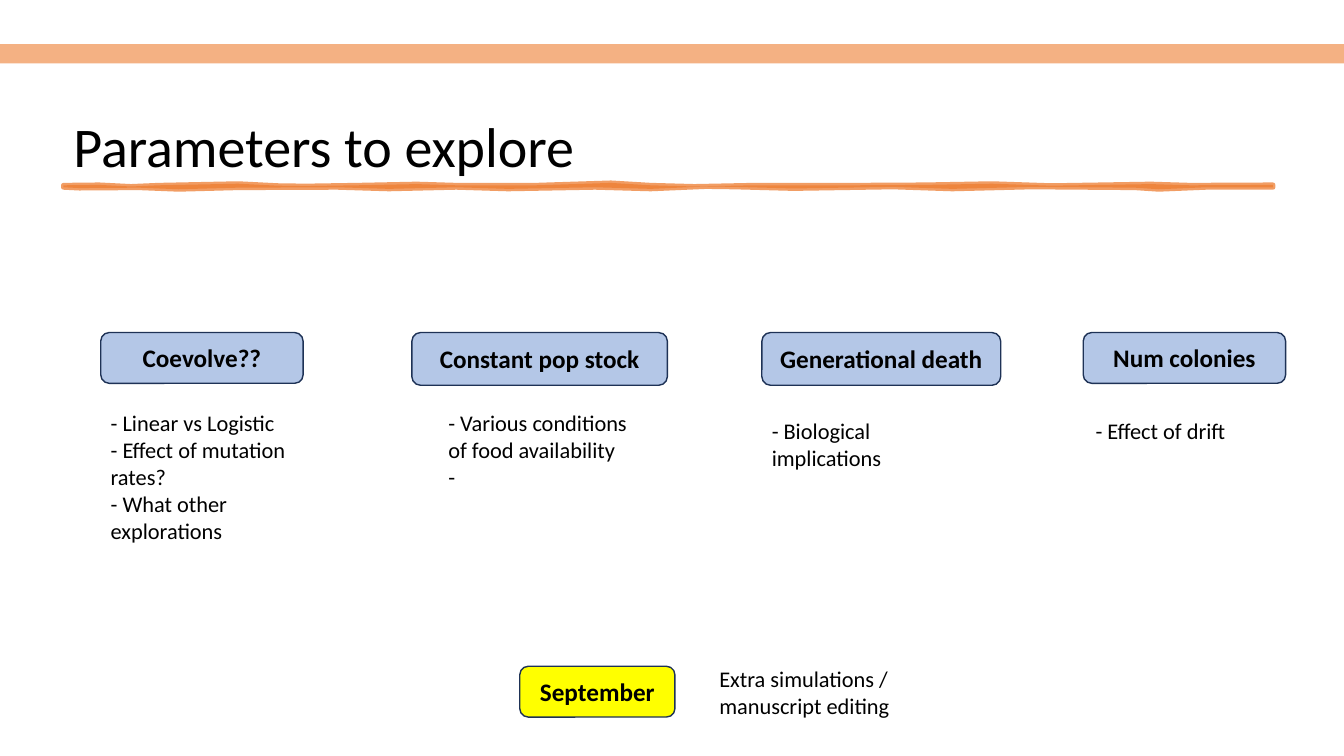
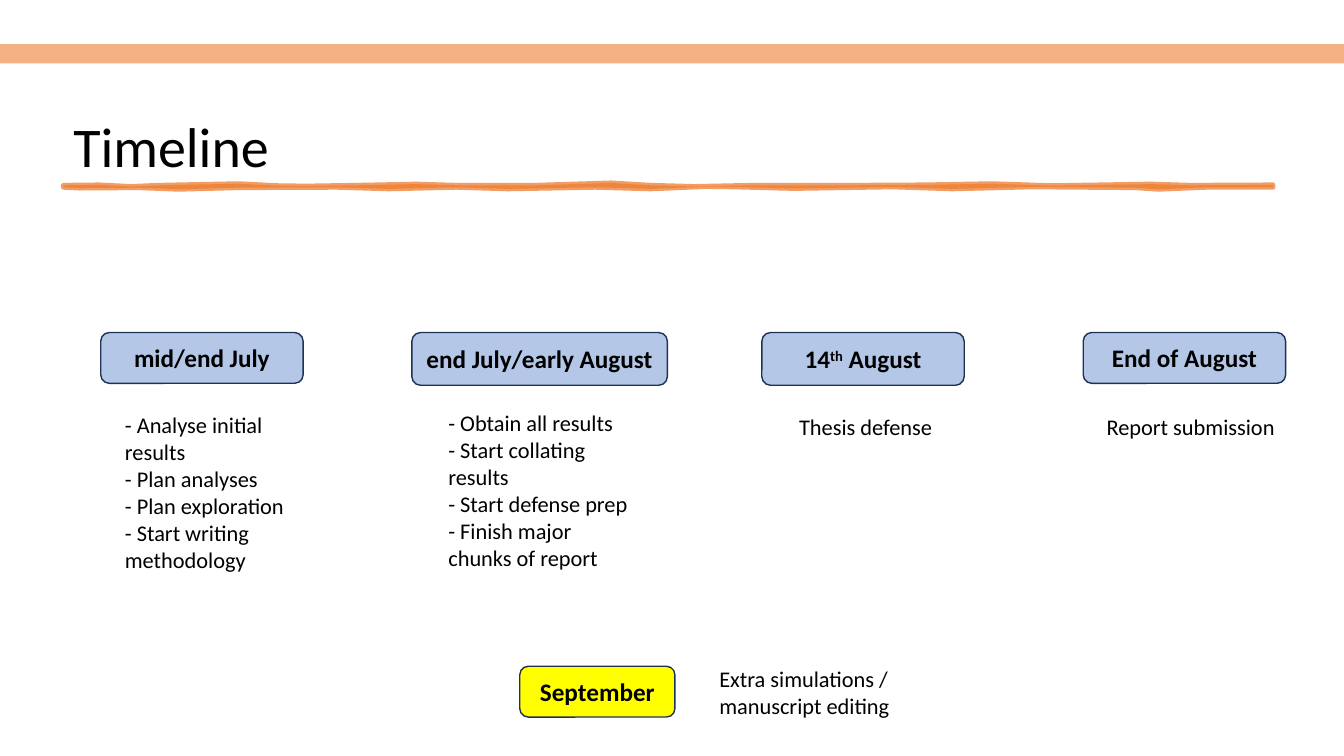
from lxml import etree
from pptx import Presentation
from pptx.dml.color import RGBColor
from pptx.enum.shapes import MSO_SHAPE
from pptx.enum.text import MSO_ANCHOR, MSO_AUTO_SIZE, PP_ALIGN
from pptx.oxml.ns import qn
from pptx.util import Cm, Pt

RECT, ROUND = MSO_SHAPE.RECTANGLE, MSO_SHAPE.ROUNDED_RECTANGLE
LOW, MID = MSO_ANCHOR.BOTTOM, MSO_ANCHOR.MIDDLE
CENTER = PP_ALIGN.CENTER
GROW = MSO_AUTO_SIZE.SHAPE_TO_FIT_TEXT

FONT = "Calibri"
BLACK, BLUE, NAVY = "000000", "B4C7E7", "1E3256"
YELLOW, ORANGE, PEACH = "FFFF00", "ED7D31", "F4B183"
WIDE, HIGH = 33.87, 19.05
LABEL_TOP, NOTE_WIDE = 8.38, 5.1

# Each stroke point is in hundredths of a centimetre.
STROKE = [
    (160, 467), (250, 466), (330, 470), (400, 467), (600, 463), (700, 468),
    (770, 469), (900, 467), (1050, 464), (1150, 467), (1350, 467),
    (1540, 461), (1640, 467), (1750, 470), (1900, 467), (2150, 467),
    (2330, 466), (2500, 463), (2650, 468), (2900, 464), (3000, 467),
    (3208, 466), (3208, 472), (3040, 472), (2920, 477), (2860, 473),
    (2600, 471), (2400, 476), (2250, 471), (2000, 475), (1850, 471),
    (1780, 470), (1640, 476), (1500, 472), (1280, 476), (1150, 472),
    (980, 476), (850, 472), (600, 473), (450, 477), (350, 473),
    (200, 474), (160, 472),
]

SLIDES = [
    ("Parameters to explore", [
        ("Coevolve??", 2.54, 5.1, 1.28),
        ("Constant pop stock", 10.38, 6.44, 1.33),
        ("Generational death", 19.2, 6.02, 1.33),
        ("Num colonies", 27.3, 5.1, 1.28),
    ], [
        ("- Linear vs Logistic\n- Effect of mutation rates?\n"
         "- What other explorations", 2.54, 10.19, 5),
        ("- Various conditions of food availability\n-", 11.05, 10.19, 3),
        ("- Biological implications", 19.2, 10.39, 2),
        ("- Effect of drift", 27.36, 10.39, 1),
    ]),
    ("Timeline", [
        ("mid/end July", 2.54, 5.1, 1.28),
        ("end July/early August", 10.38, 6.44, 1.33),
        ("14^th^ August", 19.2, 5.1, 1.33),
        ("End of August", 27.3, 5.1, 1.28),
    ], [
        ("- Analyse initial results\n- Plan analyses\n- Plan exploration\n"
         "- Start writing methodology", 2.9, 10.24, 6),
        ("- Obtain all results\n- Start collating results\n"
         "- Start defense prep\n- Finish major chunks of report",
         11.05, 10.19, 6),
        ("Thesis defense", 19.89, 10.29, 1),
        ("Report submission", 27.64, 10.29, 1),
    ]),
]


def color(code):
    """Turn a hex string into a colour."""
    return RGBColor.from_string(code)


def style(run, size, bold=False):
    """Set the font of a run."""
    font = run.font
    font.name, font.size, font.bold = FONT, Pt(size), bold
    font.color.rgb = color(BLACK)


def paint(shape, fill, line=None, width=1):
    """Fill and outline a shape without a shadow."""
    shape.shadow.inherit = False
    shape.fill.solid()
    shape.fill.fore_color.rgb = color(fill)
    if line:
        shape.line.color.rgb = color(line)
        shape.line.width = Pt(width)
    else:
        shape.line.fill.background()


def text(slide, words, left, top, width, height, size):
    """Add a wrapping text box and return its frame."""
    box = slide.shapes.add_textbox(Cm(left), Cm(top), Cm(width), Cm(height))
    frame = box.text_frame
    frame.word_wrap = True
    frame.text = words
    for para in frame.paragraphs:
        for run in para.runs:
            style(run, size)
    return frame


def title(slide, words):
    """Add the slide title."""
    frame = text(slide, words, 1.6, 0.66, 30.6, 3.99, 40)
    frame.vertical_anchor = LOW
    frame.paragraphs[0].line_spacing = 0.9


def stroke(slide):
    """Draw the brushed line under the title."""
    pen = slide.shapes.build_freeform(*STROKE[0], scale=Cm(0.01))
    pen.add_line_segments(STROKE[1:], close=True)
    shape = pen.convert_to_shape()
    paint(shape, ORANGE, ORANGE, 3.5)
    for tint in shape._element.spPr.iter(qn("a:srgbClr")):
        etree.SubElement(tint, qn("a:alpha")).set("val", "75000")


def label(slide, words, left, width, height, top=LABEL_TOP, fill=BLUE):
    """Add a rounded label; text between carets is raised."""
    shape = slide.shapes.add_shape(
        ROUND, Cm(left), Cm(top), Cm(width), Cm(height))
    paint(shape, fill, NAVY)
    frame = shape.text_frame
    frame.word_wrap = True
    frame.vertical_anchor = MID
    para = frame.paragraphs[0]
    para.alignment = CENTER
    for place, part in enumerate(words.split("^")):
        run = para.add_run()
        run.text = part
        style(run, 18, True)
        if place % 2:
            run.font._element.set("baseline", "30000")


def note(slide, words, left, top, lines):
    """Add a note box sized for its count of lines."""
    height = 0.26 + 0.68 * lines
    text(slide, words, left, top, NOTE_WIDE, height, 16).auto_size = GROW


def band(slide):
    """Add the band across the top."""
    shape = slide.shapes.add_shape(RECT, 0, Cm(1.11), Cm(WIDE), Cm(0.49))
    paint(shape, PEACH)


def build(slide, head, labels, notes):
    """Fill one slide."""
    title(slide, head)
    stroke(slide)
    for item in labels:
        label(slide, *item)
    for item in notes:
        note(slide, *item)
    label(slide, "September", 13.1, 3.91, 1.28, 16.79, YELLOW)
    note(slide, "Extra simulations / manuscript editing", 17.88, 16.64, 2)
    band(slide)


def main():
    """Build and save the deck."""
    deck = Presentation()
    deck.slide_width, deck.slide_height = Cm(WIDE), Cm(HIGH)
    for head, labels, notes in SLIDES:
        slide = deck.slides.add_slide(deck.slide_layouts[6])
        build(slide, head, labels, notes)
    deck.save("out.pptx")


if __name__ == "__main__":
    main()
